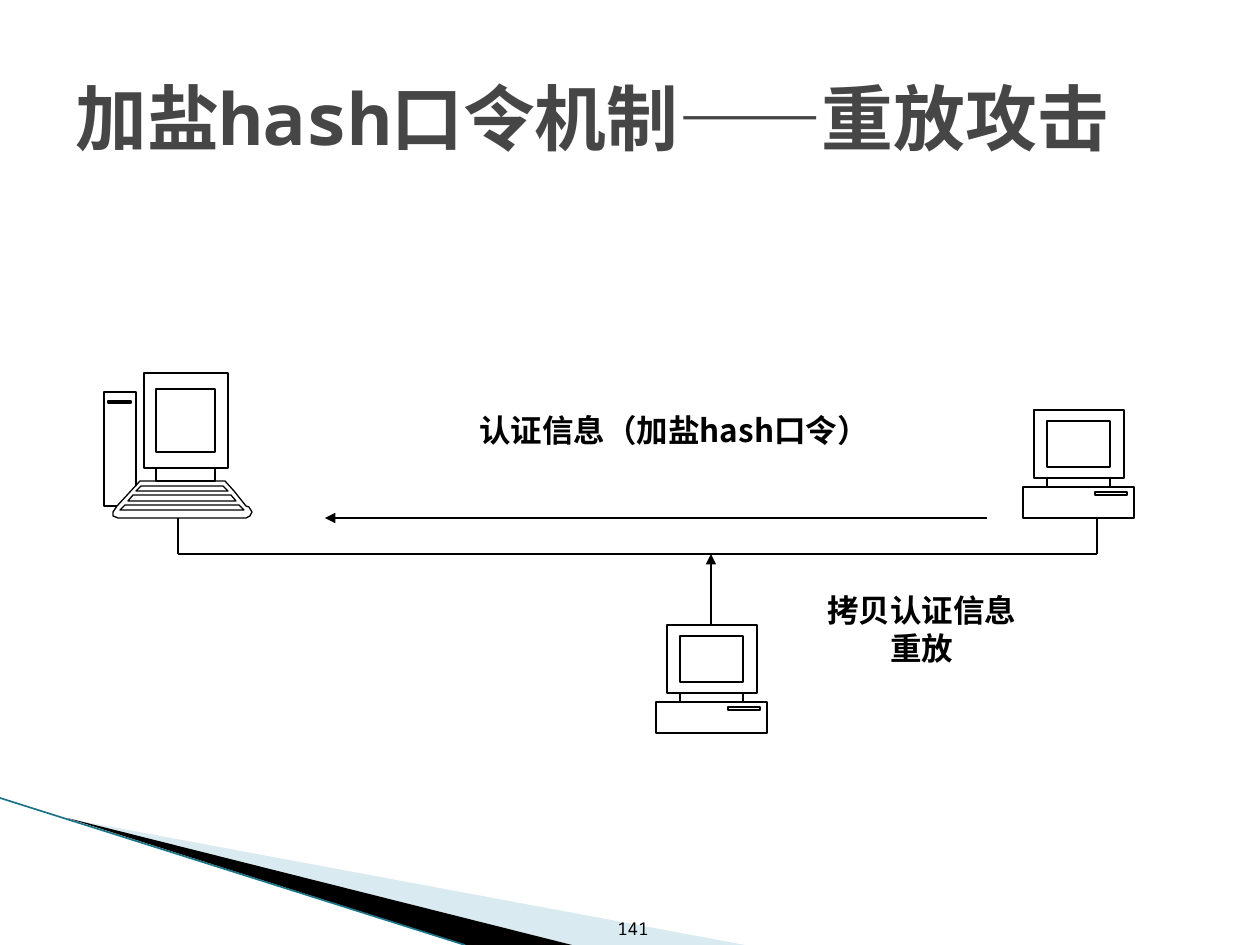
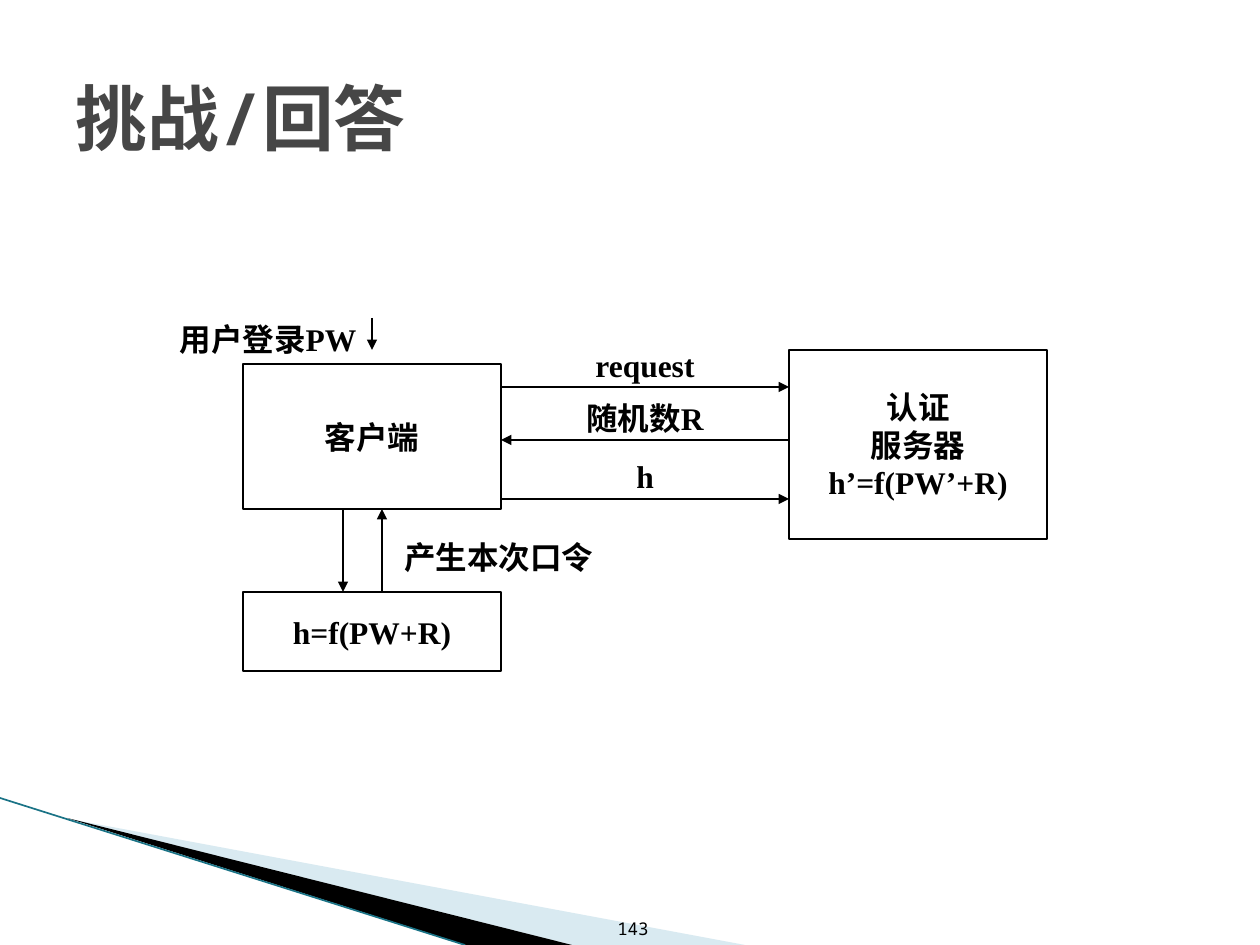
from dataclasses import dataclass

from lxml.etree import SubElement
from pptx import Presentation
from pptx.dml.color import RGBColor
from pptx.enum.shapes import MSO_CONNECTOR, MSO_SHAPE
from pptx.enum.text import MSO_ANCHOR, PP_ALIGN
from pptx.oxml.ns import qn
from pptx.util import Pt

PX = 914400 / 126


@dataclass(frozen=True)
class Theme:
    ink: str = "000000"
    paper: str = "FFFFFF"
    title: str = "464646"
    pale: str = "A0CBDC"
    teal: str = "1A7386"
    mono: str = "Noto Sans Mono"
    sans: str = "Noto Sans CJK SC"
    serif: str = "Times New Roman"
    title_pt: int = 41
    body_pt: int = 18
    page_pt: int = 10
    line_pt: float = 0.75
    edge_pt: float = 0.95


T = Theme()
LEFT, CENTER, RIGHT = PP_ALIGN.LEFT, PP_ALIGN.CENTER, PP_ALIGN.RIGHT
TOP, MIDDLE, BOTTOM = MSO_ANCHOR.TOP, MSO_ANCHOR.MIDDLE, MSO_ANCHOR.BOTTOM

# Shared frame: left, top, width, height
TITLE_BOX = (63, 38, 1134, 158)
PAGE_BOX = (590, 883, 71, 62)
PALE_WEDGE = [(69, 819), (745, 945), (572, 945)]
DARK_WEDGE = [(67, 818), (572, 945), (466, 945)]
EDGE = (0, 798, 465, 945)

# Replay attack
REPLAY_TITLE, REPLAY_PAGE = "加盐hash口令机制——重放攻击", "141"
WORKSTATION = (104, 373)
PCS = [(1023, 410), (656, 625)]
NOTES = [
    (["拷贝认证信息", "重放"], (766, 590, 312, 145)),
    (["认证信息（加盐hash口令）"], (398, 410, 552, 72)),
]
BUS_Y, BUS_LEFT, BUS_RIGHT, BUS_TAP = 554, 178, 1097, 711
DEVICE_Y = 518
BUS = [
    (BUS_LEFT, DEVICE_Y, BUS_LEFT, BUS_Y),
    (BUS_RIGHT, DEVICE_Y, BUS_RIGHT, BUS_Y),
    (BUS_LEFT, BUS_Y, BUS_RIGHT, BUS_Y),
]
REPLAY_ARROWS = [(BUS_TAP, 625, BUS_TAP, BUS_Y), (987, DEVICE_Y, 325, DEVICE_Y)]

# Challenge and response
CHALLENGE_TITLE, CHALLENGE_PAGE = "挑战/回答", "143"
CLIENT_X, SERVER_X, BOX_W = 243, 789, 258
CLIENT_TOP, CLIENT_H, HASH_TOP = 364, 145, 592
CLIENT_RIGHT, CLIENT_BOTTOM = CLIENT_X + BOX_W, CLIENT_TOP + CLIENT_H
PARTIES = [
    (["客户端"], (CLIENT_X, CLIENT_TOP, BOX_W, CLIENT_H)),
    (["认证", "服务器", "h’=f(PW’+R)"], (SERVER_X, 350, BOX_W, 189)),
    (["h=f(PW+R)"], (CLIENT_X, HASH_TOP, BOX_W, 79)),
]
MESSAGES = [  # text, arrow y, label top, towards the server
    ("request", 387, 340, True),
    ("随机数R", 440, 393, False),
    ("h", 499, 451, True),
]
STEPS = [
    (343, CLIENT_BOTTOM, 343, HASH_TOP),
    (382, HASH_TOP, 382, CLIENT_BOTTOM),
    (372, 318, 372, 350),
]
LABELS = [
    ("产生本次口令", (392, 532, 228, 50), LEFT),
    ("用户登录PW", (165, 314, 206, 50), CENTER),
]


def px(*values):
    return [round(v * PX) for v in values]


def rgb(code):
    return RGBColor.from_string(code)


def paint(sp, fill=None, line=None):
    sp.shadow.inherit = False
    if fill:
        sp.fill.solid()
        sp.fill.fore_color.rgb = rgb(fill)
    else:
        sp.fill.background()
    if line:
        sp.line.color.rgb = rgb(line)
        sp.line.width = Pt(T.line_pt)
    else:
        sp.line.fill.background()


def write(sp, lines, font, size=T.body_pt, color=T.ink, bold=True,
          align=CENTER, anchor=MIDDLE, inset=None):
    tf = sp.text_frame
    tf.word_wrap = True
    tf.vertical_anchor = anchor
    if inset:
        tf.margin_left, tf.margin_top = px(*inset)
        tf.margin_right, tf.margin_bottom = px(*inset)
    for i, line in enumerate(lines):
        p = tf.add_paragraph() if i else tf.paragraphs[0]
        p.alignment = align
        r = p.add_run()
        r.text = line
        r.font.name, r.font.size, r.font.bold = font, Pt(size), bold
        r.font.color.rgb = rgb(color)
        SubElement(r.font._element, qn("a:ea"), typeface=T.sans)


def add_text(s, lines, box, font, **style):
    write(s.shapes.add_textbox(*px(*box)), lines, font, **style)


def add_box(s, lines, box, font, line=None, **style):
    sp = s.shapes.add_shape(MSO_SHAPE.RECTANGLE, *px(*box))
    paint(sp, T.paper, line)
    write(sp, lines, font, **style)


def add_line(s, ends, color=T.ink, width=T.line_pt, arrow=False):
    cx = s.shapes.add_connector(MSO_CONNECTOR.STRAIGHT, *px(*ends))
    cx.line.color.rgb = rgb(color)
    cx.line.width = Pt(width)
    if arrow:
        SubElement(cx.line._get_or_add_ln(), qn("a:tailEnd"), type="triangle")
    SubElement(cx._element.spPr, qn("a:effectLst"))


def add_outline(s, contours, origin=(0, 0), fill=None, line=None):
    """Draw several (points, closed) contours as one freeform."""
    fb = None
    for points, closed in contours:
        if fb is None:
            fb = s.shapes.build_freeform(*points[0], scale=PX)
        else:
            fb.move_to(*points[0])
        fb.add_line_segments(points[1:], close=closed)
    sp = fb.convert_to_shape(*px(*origin))
    paint(sp, fill, line)
    return sp


def rect(x1, y1, x2, y2):
    return [(x1, y1), (x2, y1), (x2, y2), (x1, y2)], True


def key_row(i):
    """Trapezoid of keyboard row i, each wider than the one above."""
    mid, top, half = 78, 113 + 9.5 * i, 41 + 8 * i
    return [(mid - half, top), (mid + half, top),
            (mid + half + 5, top + 5), (mid - half - 5, top + 5)], True


def add_pc(s, origin):
    parts = [
        rect(11, 0, 101, 68),     # monitor
        rect(24, 11, 87, 57),     # screen
        rect(24, 68, 87, 77),     # neck
        rect(0, 77, 111, 108),    # case
        rect(72, 82, 104, 85),    # drive
    ]
    add_outline(s, parts, origin, line=T.ink)


def add_workstation(s, origin):
    tower = [(13, 133), (0, 133), (0, 19), (32, 19), (32, 113)]
    keyboard = [(36, 108), (121, 108), (130, 118), (142, 133), (145, 134),
                (148, 139), (146, 143), (142, 145), (14, 145), (9, 143),
                (9, 139), (13, 133)]
    parts = [
        (tower, False),
        (keyboard, True),
        rect(4, 28, 27, 30),      # drive
        rect(40, 0, 124, 95),     # monitor
        rect(52, 16, 111, 79),    # screen
        rect(52, 95, 111, 108),   # neck
        *(key_row(i) for i in range(3)),
    ]
    add_outline(s, parts, origin, line=T.ink)


def add_slide(prs, title, page):
    s = prs.slides.add_slide(prs.slide_layouts[6])
    pale = add_outline(s, [(PALE_WEDGE, True)], fill=T.pale)
    tint = pale.fill._xPr.find(qn("a:solidFill"))[0]
    SubElement(tint, qn("a:alpha"), val="40000")
    add_outline(s, [(DARK_WEDGE, True)], fill=T.ink)
    add_line(s, EDGE, T.teal, T.edge_pt)
    add_text(s, [page], PAGE_BOX, T.mono, size=T.page_pt, bold=False,
             align=RIGHT, anchor=BOTTOM)
    add_text(s, [title], TITLE_BOX, T.mono, size=T.title_pt, color=T.title,
             align=LEFT)
    return s


def replay_slide(prs):
    s = add_slide(prs, REPLAY_TITLE, REPLAY_PAGE)
    for lines, box in NOTES:
        add_box(s, lines, box, T.sans, anchor=TOP, inset=(2, 1))
    add_workstation(s, WORKSTATION)
    for origin in PCS:
        add_pc(s, origin)
    for ends in BUS:
        add_line(s, ends)
    for ends in REPLAY_ARROWS:
        add_line(s, ends, arrow=True)


def challenge_slide(prs):
    s = add_slide(prs, CHALLENGE_TITLE, CHALLENGE_PAGE)
    for lines, box in PARTIES:
        add_box(s, lines, box, T.serif, line=T.ink)
    for text, y, top, to_server in MESSAGES:
        x1, x2 = (CLIENT_RIGHT, SERVER_X) if to_server else (SERVER_X, CLIENT_RIGHT)
        add_line(s, (x1, y, x2, y), arrow=True)
        add_text(s, [text], (541, top, 208, 50), T.serif, anchor=TOP)
    for ends in STEPS:
        add_line(s, ends, arrow=True)
    for text, box, align in LABELS:
        add_text(s, [text], box, T.serif, align=align, anchor=TOP)


def main():
    prs = Presentation()
    prs.slide_width, prs.slide_height = px(1260, 945)
    replay_slide(prs)
    challenge_slide(prs)
    prs.save("out.pptx")


if __name__ == "__main__":
    main()
